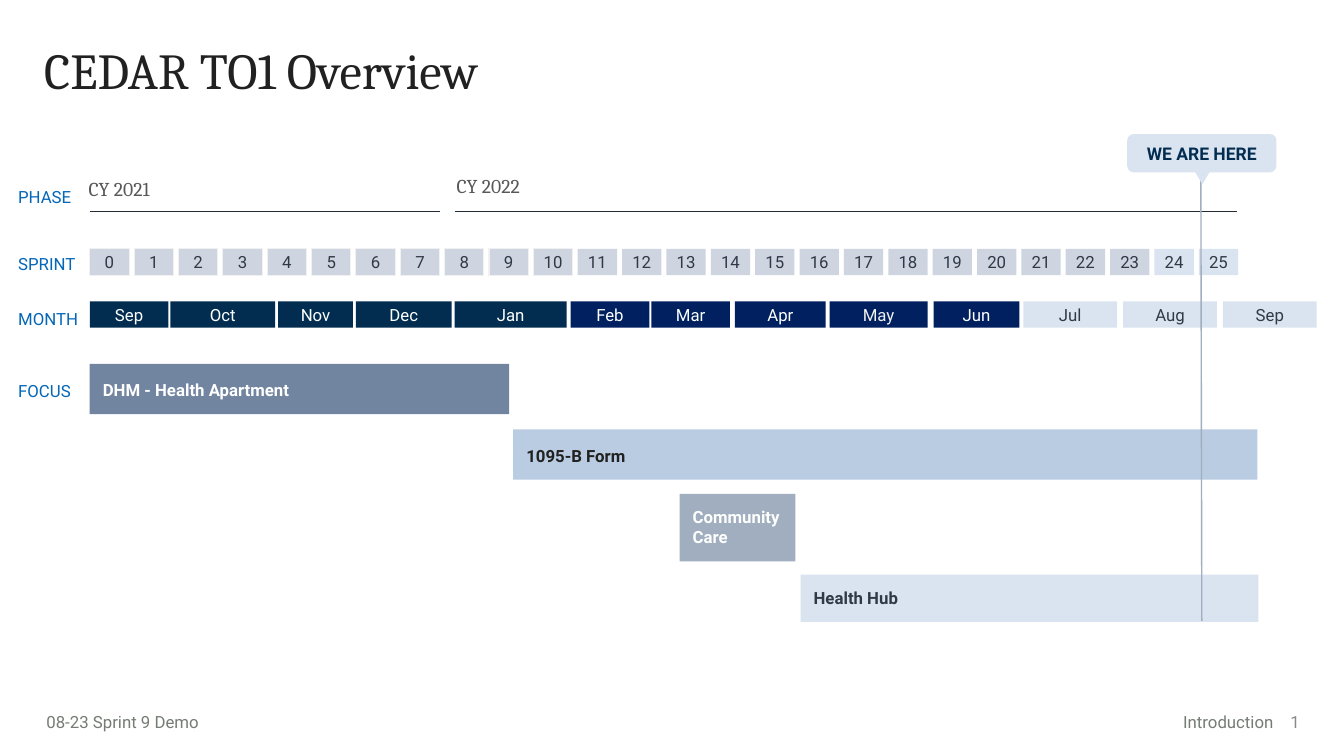
from dataclasses import dataclass

from lxml.etree import SubElement
from pptx import Presentation
from pptx.dml.color import RGBColor
from pptx.enum.shapes import MSO_CONNECTOR, MSO_SHAPE
from pptx.enum.text import MSO_ANCHOR, PP_ALIGN
from pptx.oxml.ns import qn
from pptx.util import Inches, Pt


@dataclass(frozen=True)
class Theme:
    # Colours
    ink: str = "202120"
    slate: str = "303A46"
    grey: str = "565956"
    footer: str = "747C74"
    page_number: str = "8A8A8A"
    label: str = "0467B8"
    rule: str = "232B34"
    off_white: str = "FDFFFD"
    white: str = "FFFFFF"
    mist: str = "F0F1F0"
    past_sprint: str = "CED5E0"
    pale: str = "DAE4F0"
    navy: str = "022D50"
    royal: str = "002060"
    steel: str = "7185A0"
    sky: str = "B9CCE2"
    silver: str = "A1AEBF"
    # Fonts and sizes
    serif: str = "Cambria"
    sans: str = "Roboto"
    title_size: float = 36
    phase_size: float = 14
    callout_size: float = 12.5
    body_size: float = 12


THEME = Theme()
TEXT_INSETS = (0.1, 0.05, 0.1, 0.05)
CELL_INSETS = (0.03,) * 4
BAR_INSETS = (0.13,) * 4


def write(shape, text, *, color, size=THEME.body_size, font=THEME.sans, bold=False,
          align=PP_ALIGN.LEFT, anchor=MSO_ANCHOR.TOP, insets=TEXT_INSETS, spacing=1.0):
    frame = shape.text_frame
    frame.word_wrap = True
    frame.vertical_anchor = anchor
    (frame.margin_left, frame.margin_top,
     frame.margin_right, frame.margin_bottom) = map(Inches, insets)
    para = frame.paragraphs[0]
    para.alignment = align
    para.line_spacing = spacing
    span = para.add_run()
    span.text = text
    span.font.name = font
    span.font.size = Pt(size)
    span.font.bold = bold
    span.font.color.rgb = RGBColor.from_string(color)


class SlideBuilder:
    def __init__(self, page, theme):
        self.page = page
        self.theme = theme

    def text(self, area, text, **style):
        box = self.page.shapes.add_textbox(*map(Inches, area))
        write(box, text, **style)

    def block(self, area, fill, text=None, kind=MSO_SHAPE.RECTANGLE, outline=None, **style):
        shape = self.page.shapes.add_shape(kind, *map(Inches, area))
        shape.shadow.inherit = False
        shape.fill.solid()
        shape.fill.fore_color.rgb = RGBColor.from_string(fill)
        if outline:
            shape.line.color.rgb = RGBColor.from_string(outline)
            shape.line.width = Pt(0.75)
        else:
            shape.line.fill.background()
        if text:
            write(shape, text, **style)
        return shape

    def cell(self, left, top, width, text, fill, color, outline=None):
        self.block((left, top, width, 0.26), fill, text, outline=outline,
                   color=color, align=PP_ALIGN.CENTER, insets=CELL_INSETS)

    def line(self, start, end, color, width=0.75):
        connector = self.page.shapes.add_connector(
            MSO_CONNECTOR.STRAIGHT, *map(Inches, start + end))
        connector.line.color.rgb = RGBColor.from_string(color)
        connector.line.width = Pt(width)
        SubElement(connector.element.spPr, qn("a:effectLst"))


def main():
    deck = Presentation()
    deck.slide_width = Inches(13.33)
    deck.slide_height = Inches(7.5)
    page = deck.slides.add_slide(deck.slide_layouts[6])
    theme = THEME
    builder = SlideBuilder(page, theme)

    # Title
    builder.text((0.34, 0.41, 12.42, 0.82), "CEDAR TO1 Overview", color=theme.ink,
                 size=theme.title_size, font=theme.serif, spacing=0.9)

    # Row labels
    for label, top in (("PHASE", 1.85), ("SPRINT", 2.52), ("MONTH", 3.06), ("FOCUS", 3.78)):
        builder.text((0.18, top, 0.78, 0.2), label, color=theme.label, insets=(0,) * 4)

    # Phases: name, text position, rule ends
    phases = (("CY 2021", 0.78, 1.71, 0.89, 4.36), ("CY 2022", 4.43, 1.68, 4.51, 12.27))
    for name, left, top, start, end in phases:
        builder.text((left, top, 3, 0.34), name, color=theme.grey,
                     size=theme.phase_size, font=theme.serif)
        builder.line((start, 2.1), (end, 2.1), theme.rule)

    # Sprints
    for sprint in range(26):
        builder.cell(0.89 + 0.44 * sprint, 2.47, 0.39, str(sprint),
                     theme.past_sprint if sprint < 24 else theme.pale, theme.slate,
                     outline=theme.mist if sprint < 11 else None)

    # Months, grouped by fill
    months = (
        (theme.navy, theme.off_white, (("Sep", 0.89, 0.78), ("Oct", 1.69, 1.04),
                                       ("Nov", 2.76, 0.74), ("Dec", 3.53, 0.95),
                                       ("Jan", 4.51, 1.11))),
        (theme.royal, theme.off_white, (("Feb", 5.66, 0.78), ("Mar", 6.46, 0.78),
                                        ("Apr", 7.29, 0.9), ("Jun", 9.26, 0.85))),
        (theme.royal, theme.mist, (("May", 8.23, 0.97),)),
        (theme.pale, theme.slate, (("Jul", 10.15, 0.93), ("Aug", 11.14, 0.93),
                                   ("Sep", 12.13, 0.93))),
    )
    for fill, color, spans in months:
        for month, left, width in spans:
            builder.cell(left, 2.99, width, month, fill, color)

    # Focus bars
    bars = (
        ("DHM - Health Apartment", (0.89, 3.61, 4.16, 0.5), theme.steel, theme.white, 1.15),
        ("1095-B Form", (5.09, 4.26, 7.38, 0.5), theme.sky, theme.ink, 1.15),
        ("Community Care", (6.74, 4.9, 1.15, 0.67), theme.silver, theme.off_white, 1.0),
        ("Health Hub", (7.94, 5.7, 4.54, 0.47), theme.pale, theme.slate, 1.0),
    )
    for name, area, fill, color, spacing in bars:
        builder.block(area, fill, name, color=color, bold=True,
                      insets=BAR_INSETS, spacing=spacing)

    # Current position marker
    builder.line((11.91, 1.53), (11.92, 6.16), theme.silver, width=1)
    builder.block((11.18, 1.33, 1.48, 0.38), theme.pale, "WE ARE HERE",
                  kind=MSO_SHAPE.ROUNDED_RECTANGLE, color=theme.navy,
                  size=theme.callout_size, bold=True, align=PP_ALIGN.CENTER,
                  anchor=MSO_ANCHOR.MIDDLE)
    pointer = builder.block((11.85, 1.7, 0.15, 0.13), theme.pale,
                            kind=MSO_SHAPE.ISOSCELES_TRIANGLE)
    pointer.rotation = 180

    # Footer
    builder.text((0.46, 7.01, 2.98, 0.3), "08-23 Sprint 9 Demo", color=theme.footer,
                 insets=(0, 0.05, 0.1, 0.05))
    builder.text((9.75, 7.01, 2.98, 0.3), "Introduction", color=theme.footer,
                 align=PP_ALIGN.RIGHT)
    builder.text((12.55, 6.96, 0.44, 0.4), "1", color=theme.page_number,
                 align=PP_ALIGN.RIGHT, anchor=MSO_ANCHOR.MIDDLE)

    deck.save("out.pptx")


if __name__ == "__main__":
    main()
